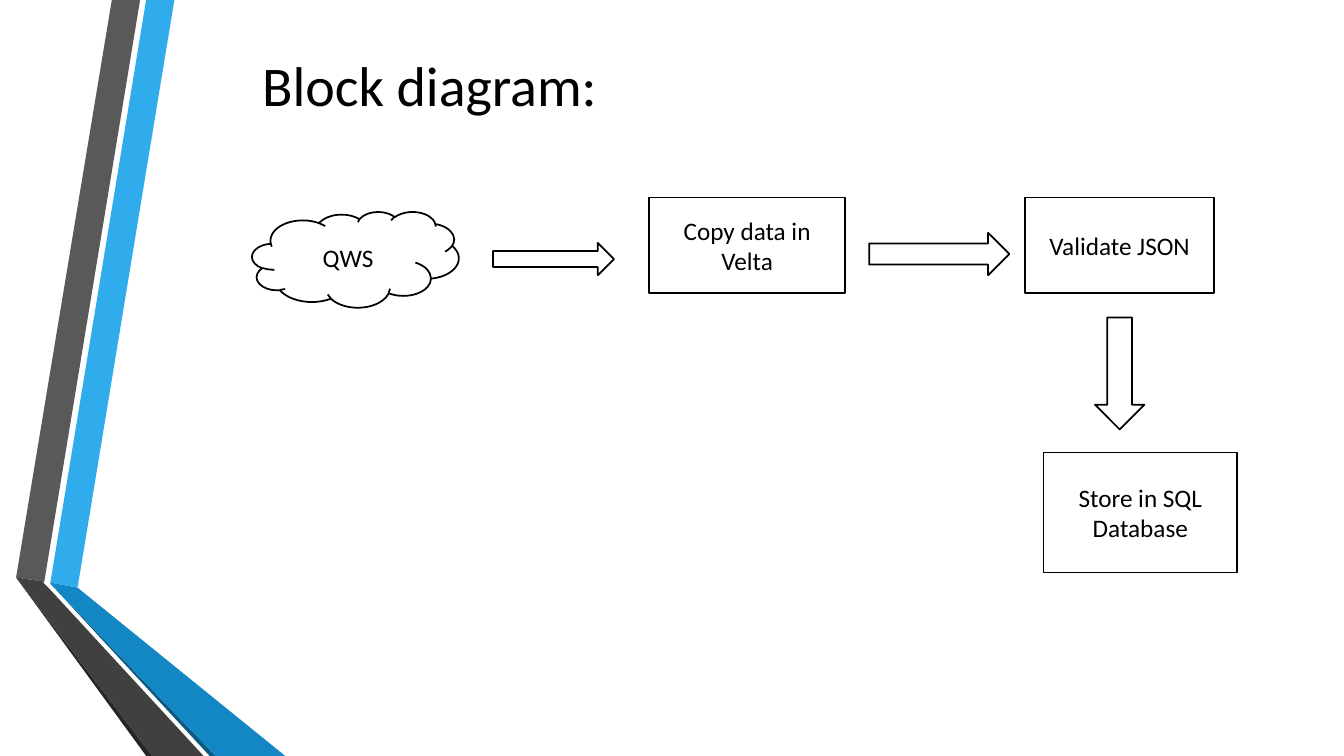
from dataclasses import dataclass

from pptx import Presentation
from pptx.dml.color import RGBColor
from pptx.enum.shapes import MSO_SHAPE as Preset
from pptx.enum.text import MSO_ANCHOR as Anchor, PP_ALIGN as Align
from pptx.slide import Slide
from pptx.text.text import TextFrame
from pptx.util import Inches, Pt

COLORS = {
    "ink": "000000",
    "paper": "FFFFFF",
    "sky": "30ACEC",
    "blue": "1287C3",
    "navy": "0C5A82",
    "gray": "595959",
    "charcoal": "404040",
    "coal": "262626",
}
FONT = "Calibri"


@dataclass(frozen=True)
class Ribbon:
    color: str
    points: tuple[tuple[float, float], ...]


@dataclass(frozen=True)
class Block:
    preset: Preset
    left: float
    top: float
    width: float
    height: float
    label: str = ""


RIBBONS = (
    Ribbon("sky", ((0.5, 5.78), (0.77, 5.83), (1.73, 0), (1.45, 0))),
    Ribbon("gray", ((1.39, 0), (1.11, 0), (0.16, 5.73), (0.44, 5.77))),
    Ribbon("coal", ((0.16, 5.73), (1.45, 7.5), (1.51, 7.5))),
    Ribbon("navy", ((0.5, 5.79), (2.08, 7.5), (2.14, 7.5))),
    Ribbon("blue", ((0.5, 5.79), (2.14, 7.5), (2.83, 7.5), (0.77, 5.83), (0.5, 5.78))),
    Ribbon("charcoal", ((2.02, 7.5), (0.48, 5.83), (0.43, 5.78), (0.44, 5.77),
                        (0.16, 5.73), (1.51, 7.5))),
)

BLOCKS = (
    Block(Preset.CLOUD, 2.5, 2.1, 2.05, 0.95, "QWS"),
    Block(Preset.RIGHT_ARROW, 4.89, 2.41, 1.2, 0.32),
    Block(Preset.RECTANGLE, 6.44, 1.96, 1.94, 0.95, "Copy data in Velta"),
    Block(Preset.RIGHT_ARROW, 8.62, 2.31, 1.39, 0.42),
    Block(Preset.RECTANGLE, 10.17, 1.96, 1.87, 0.95, "Validate JSON"),
    Block(Preset.DOWN_ARROW, 10.86, 3.15, 0.49, 1.11),
    Block(Preset.RECTANGLE, 10.35, 4.49, 1.92, 1.19, "Store in SQL Database"),
)


def color(name: str) -> RGBColor:
    return RGBColor.from_string(COLORS[name])


def write(frame: TextFrame, text: str, size: int) -> None:
    frame.word_wrap = True
    frame.vertical_anchor = Anchor.MIDDLE
    para = frame.paragraphs[0]
    para.alignment = Align.CENTER
    span = para.add_run()
    span.text = text
    span.font.name = FONT
    span.font.size = Pt(size)
    span.font.color.rgb = color("ink")


def draw_ribbon(page: Slide, ribbon: Ribbon) -> None:
    start, *rest = [(Inches(x), Inches(y)) for x, y in ribbon.points]
    builder = page.shapes.build_freeform(*start)
    builder.add_line_segments(rest, close=True)
    shape = builder.convert_to_shape()
    shape.shadow.inherit = False
    shape.fill.solid()
    shape.fill.fore_color.rgb = color(ribbon.color)
    shape.line.fill.background()


def draw_title(page: Slide, text: str) -> None:
    title = page.shapes.title
    title.left, title.top = Inches(2.08), Inches(0.31)
    title.width, title.height = Inches(4.36), Inches(1.65)
    write(title.text_frame, text, 40)
    title.text_frame.margin_bottom = Inches(0.65)


def draw_block(page: Slide, block: Block) -> None:
    box = page.shapes.add_shape(
        block.preset, Inches(block.left), Inches(block.top),
        Inches(block.width), Inches(block.height),
    )
    box.shadow.inherit = False
    box.fill.solid()
    box.fill.fore_color.rgb = color("paper")
    box.line.color.rgb = color("ink")
    box.line.width = Pt(1.25)
    if block.label:
        write(box.text_frame, block.label, 18)


def main() -> None:
    deck = Presentation()
    deck.slide_width, deck.slide_height = Inches(13.33), Inches(7.5)
    page = deck.slides.add_slide(deck.slide_layouts.get_by_name("Title Only"))
    for ribbon in RIBBONS:
        draw_ribbon(page, ribbon)
    draw_title(page, "Block diagram:")
    for block in BLOCKS:
        draw_block(page, block)
    deck.save("out.pptx")


if __name__ == "__main__":
    main()
